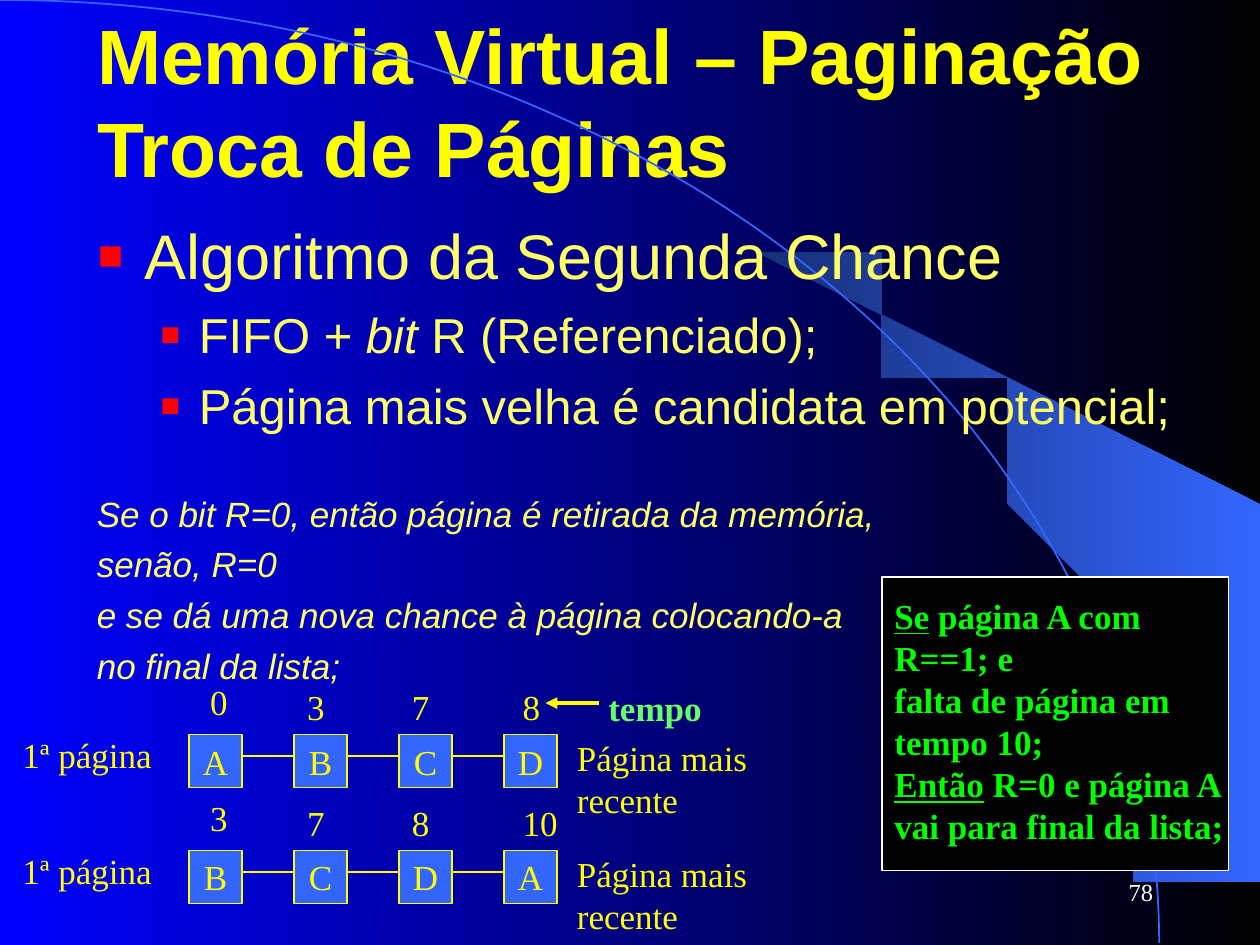
from lxml.etree import SubElement
from pptx import Presentation
from pptx.dml.color import RGBColor
from pptx.enum.shapes import MSO_CONNECTOR, MSO_SHAPE
from pptx.enum.text import MSO_ANCHOR, MSO_AUTO_SIZE, PP_ALIGN
from pptx.oxml.ns import qn
from pptx.util import Inches, Pt

COLORS = {
    "black": "000000", "blue": "0000FF", "accent": "3366FF", "navy": "172F75",
    "yellow": "FFFF00", "pale": "FFFF66", "red": "FF0000", "green": "00FF00",
    "mint": "66FF66", "white": "FFFFFF",
}
SANS, SERIF = "Arial", "Times New Roman"
WEDGE = [
    (9.2, 7.48), (9.99, 7.49), (9.99, 4.23), (5.89, 1.73), (6.24, 1.99), (6.53, 2.22),
    (6.85, 2.5), (7.16, 2.8), (7.62, 3.3), (8.03, 3.84), (8.32, 4.31), (8.58, 4.79),
    (8.78, 5.28), (8.93, 5.72), (9.03, 6.09), (9.13, 6.56), (9.17, 6.96),
]
NODE_SIZE, NODE_STEP = 0.42, 2.5 / 3


def rgb(name):
    """Return the named palette colour."""
    return RGBColor.from_string(COLORS[name])


def box_of(*lengths):
    """Convert left, top, width and height to Inches."""
    return [Inches(length) for length in lengths]


def set_gradient(fill, start, end):
    """Fill from start at the right to end at the left."""
    fill.gradient()
    fill.gradient_angle = 180
    for stop, name in zip(fill.gradient_stops, (start, end)):
        stop.color.rgb = rgb(name)


def set_font(paragraph, size, color, name=SERIF, bold=False, italic=None):
    """Set the font shared by all runs of a paragraph."""
    font = paragraph.font
    font.size, font.name, font.bold, font.italic = Pt(size), name, bold, italic
    font.color.rgb = rgb(color)


def set_indent(paragraph, margin, hanging):
    """Give a paragraph a hanging indent."""
    properties = paragraph._p.get_or_add_pPr()
    properties.set("marL", str(Inches(margin)))
    properties.set("indent", str(-Inches(hanging)))


def add_bullet(paragraph):
    """Put a red square before a paragraph."""
    properties = paragraph._p.get_or_add_pPr()
    SubElement(SubElement(properties, qn("a:buClr")), qn("a:srgbClr"), val=COLORS["red"])
    SubElement(properties, qn("a:buSzPct"), val="130000")
    SubElement(properties, qn("a:buFont"), typeface=SANS)
    SubElement(properties, qn("a:buChar"), char="▪")


def add_label(slide, text, box, color="yellow", bold=False, size=20):
    """Add a one-line label that does not wrap."""
    frame = slide.shapes.add_textbox(*box_of(*box)).text_frame
    frame.word_wrap = False
    frame.auto_size = MSO_AUTO_SIZE.SHAPE_TO_FIT_TEXT
    frame.text = text
    set_font(frame.paragraphs[0], size, color, bold=bold)
    return frame


def add_rectangle(slide, box, fill, line):
    """Add a flat, thinly outlined rectangle."""
    rectangle = slide.shapes.add_shape(MSO_SHAPE.RECTANGLE, *box_of(*box))
    rectangle.shadow.inherit = False
    rectangle.fill.solid()
    rectangle.fill.fore_color.rgb = rgb(fill)
    rectangle.line.color.rgb = rgb(line)
    rectangle.line.width = Pt(0.75)
    return rectangle


def add_line(slide, start, end, y, width=0.75):
    """Add a horizontal yellow line."""
    line = slide.shapes.add_connector(MSO_CONNECTOR.STRAIGHT, *box_of(start, y, end, y))
    line.line.color.rgb = rgb("yellow")
    line.line.width = Pt(width)
    SubElement(line._element.spPr, qn("a:effectLst"))
    return line


def add_backdrop(slide):
    """Draw the gradient background, the wedge and the arc."""
    set_gradient(slide.background.fill, "black", "blue")
    builder = slide.shapes.build_freeform(*WEDGE[0], scale=Inches(1))
    builder.add_line_segments(WEDGE[1:])
    wedge = builder.convert_to_shape()
    wedge.shadow.inherit = False
    set_gradient(wedge.fill, "accent", "navy")
    wedge.line.fill.background()
    arc = slide.shapes.add_shape(MSO_SHAPE.ARC, *box_of(-9.2, 0, 18.4, 14.97))
    arc.shadow.inherit = False
    arc.fill.background()
    arc.line.color.rgb = rgb("accent")
    arc.line.width = Pt(1)


def fill_title(slide, box):
    """Place and format the title."""
    title = slide.shapes.title
    title.left, title.top, title.width, title.height = box_of(*box)
    frame = title.text_frame
    frame.text = "Memória Virtual – Paginação\vTroca de Páginas"
    frame.auto_size = MSO_AUTO_SIZE.NONE
    frame.vertical_anchor = MSO_ANCHOR.MIDDLE
    frame.paragraphs[0].alignment = PP_ALIGN.LEFT
    set_font(frame.paragraphs[0], 44, "yellow", SANS, bold=True)


def add_body(slide, box):
    """Write the algorithm's points and its rule."""
    frame = slide.shapes.add_textbox(*box_of(*box)).text_frame
    frame.word_wrap = True
    points = [
        (["Algoritmo da Segunda Chance"], 36, 0, 0.38, 0.38),
        (["FIFO + ", "bit ", "R (Referenciado);"], 28, 7, 0.81, 0.31),
        (["Página mais velha é candidata em potencial;"], 28, 7, 0.81, 0.31),
    ]
    rule = [
        "Se o bit R=0, então página é retirada da memória,", "senão, R=0",
        "e se dá uma nova chance à página colocando-a", "no final da lista;",
    ]
    for index, (parts, size, before, margin, hanging) in enumerate(points):
        point = frame.add_paragraph() if index else frame.paragraphs[0]
        for part in parts:
            point.add_run().text = part
        point.space_before = Pt(before)
        set_indent(point, margin, hanging)
        add_bullet(point)
        set_font(point, size, "pale", SANS)
    frame.paragraphs[1].runs[1].font.italic = True
    for index, text in enumerate(rule):
        line = frame.add_paragraph()
        line.text = text
        line.space_before = Pt(5 if index else 33)
        set_indent(line, 0.38, 0.38)
        set_font(line, 20, "pale", SANS, italic=True)


def add_queue(slide, left, top, pages, times):
    """Draw a linked list of pages with their load times."""
    for index, page in enumerate(pages):
        x = left + 1.42 + index * NODE_STEP
        node = add_rectangle(slide, (x, top + 0.48, NODE_SIZE, NODE_SIZE), "accent", "yellow")
        frame = node.text_frame
        frame.word_wrap = False
        frame.text = page
        frame.paragraphs[0].alignment = PP_ALIGN.CENTER
        set_font(frame.paragraphs[0], 20, "yellow")
        if index:
            add_line(slide, x - NODE_STEP + NODE_SIZE, x, top + 0.65)
    offsets = [(1.49, 0), (2.26, 0.04), (3.09, 0.04), (3.97, 0.04)]
    for time, (x, y) in zip(times, offsets):
        add_label(slide, time, (left + x, top + y, 0.2 + 0.14 * len(time), 0.44))
    add_label(slide, "1ª página", (left, top + 0.42, 1.23, 0.44))
    add_label(slide, "Página mais recente", (left + 4.4, top + 0.45, 2.42, 0.44))


def add_time_arrow(slide, left, top):
    """Point from the time label to the load times."""
    add_label(slide, "tempo", (left + 0.4, top, 0.94, 0.44), "mint", bold=True)
    arrow = add_line(slide, left + 0.42, left, top + 0.18, 2.25)
    SubElement(arrow.line._get_or_add_ln(), qn("a:tailEnd"), type="triangle")


def add_example(slide, left, top):
    """Add the boxed example of a second chance."""
    add_rectangle(slide, (left, top, 2.75, 2.33), "black", "white")
    lines = [
        ("Se", " página A com"), ("", "R==1; e"), ("", "falta de página em"),
        ("", "tempo 10;"), ("Então", " R=0 e página A"), ("", "vai para final da lista;"),
    ]
    frame = slide.shapes.add_textbox(*box_of(left, top + 0.09, 2.88, 2.1)).text_frame
    frame.word_wrap = False
    frame.auto_size = MSO_AUTO_SIZE.SHAPE_TO_FIT_TEXT
    for index, (keyword, rest) in enumerate(lines):
        line = frame.add_paragraph() if index else frame.paragraphs[0]
        if keyword:
            run = line.add_run()
            run.text, run.font.underline = keyword, True
        line.add_run().text = rest
        set_font(line, 20, "green", bold=True)


def add_page_number(slide, box):
    """Write the page number at the lower right."""
    frame = add_label(slide, "78", box, "white", size=14)
    frame.word_wrap = True
    frame.auto_size = MSO_AUTO_SIZE.NONE
    frame.vertical_anchor = MSO_ANCHOR.MIDDLE
    frame.paragraphs[0].alignment = PP_ALIGN.RIGHT


def main():
    """Build and save the slide."""
    deck = Presentation()
    deck.slide_width, deck.slide_height = Inches(10), Inches(7.5)
    slide = deck.slides.add_slide(deck.slide_layouts[5])
    add_backdrop(slide)
    fill_title(slide, (0.67, 0.17, 9, 1.25))
    add_body(slide, (0.67, 1.67, 9, 5.5))
    add_queue(slide, 0.08, 5.35, "ABCD", ["0", "3", "7", "8"])
    add_queue(slide, 0.08, 6.27, "BCDA", ["3", "7", "8", "10"])
    add_example(slide, 7, 4.58)
    add_time_arrow(slide, 4.33, 5.4)
    add_page_number(slide, (7.17, 6.83, 2.08, 0.5))
    deck.save("out.pptx")


if __name__ == "__main__":
    main()
